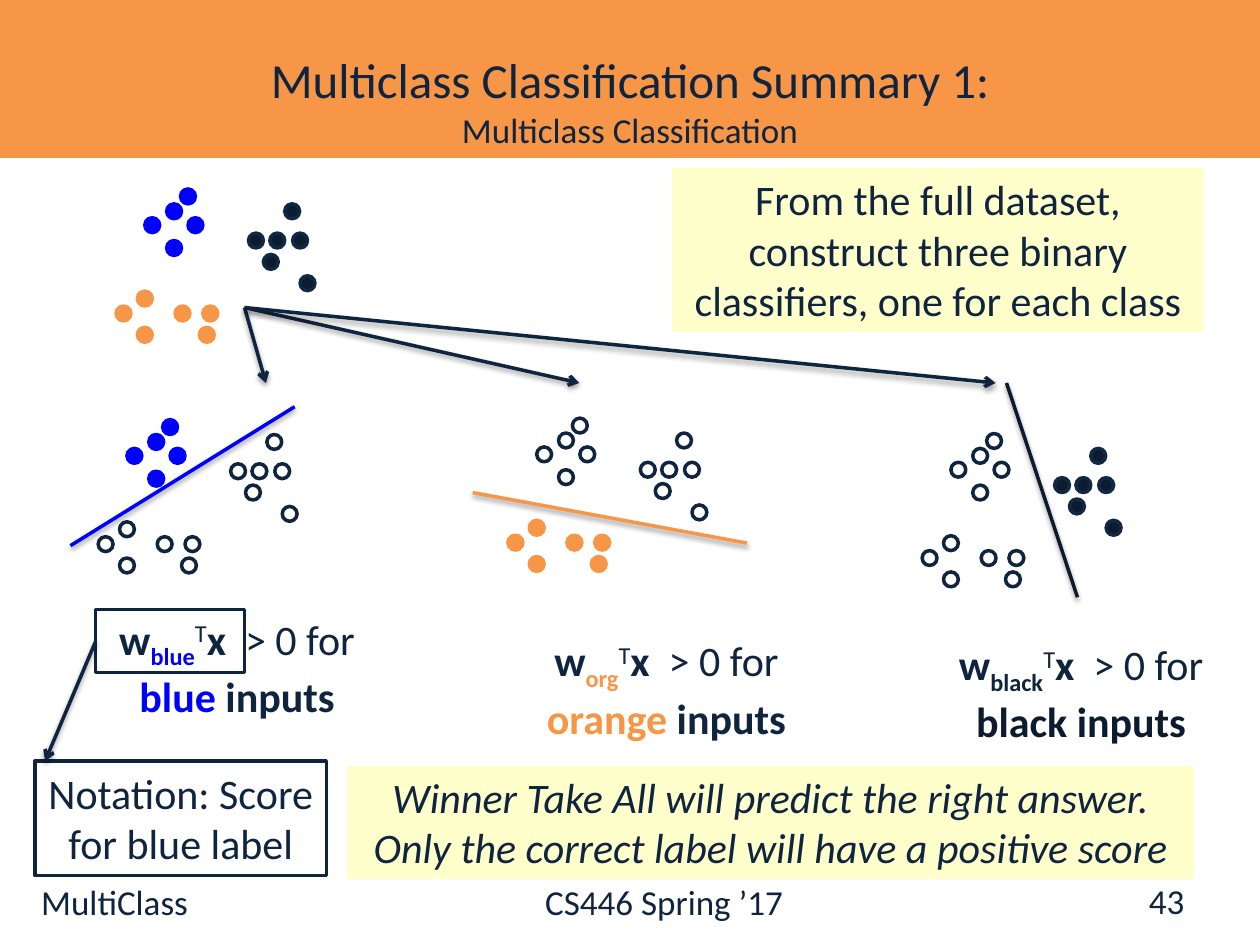
from copy import deepcopy
from dataclasses import dataclass
from typing import NamedTuple

from lxml.etree import SubElement
from pptx import Presentation
from pptx.dml.color import RGBColor
from pptx.enum.shapes import MSO_CONNECTOR, MSO_SHAPE
from pptx.enum.text import MSO_ANCHOR, MSO_AUTO_SIZE, PP_ALIGN
from pptx.oxml.ns import qn
from pptx.util import Cm, Pt

NAVY = RGBColor(0x0F, 0x24, 0x3E)
BLACK = RGBColor(0x0C, 0x1B, 0x2E)
BLACK_EDGE = RGBColor(0x11, 0x28, 0x45)
BLUE = RGBColor(0x00, 0x00, 0xFF)
ORANGE = RGBColor(0xF7, 0x96, 0x46)
YELLOW = RGBColor(0xFF, 0xFF, 0xCC)
WHITE = RGBColor(0xFF, 0xFF, 0xFF)

DOT_SIZE = 0.3
ARROW_START = (4.93, 6.2)
ARROW_ENDS = [(5.36, 7.72), (11.68, 7.72), (20.07, 7.72)]

# Dot positions in cm, measured from the corner of a cloud
CLUSTERS = {
    "blue": [(1.02, 0.3), (1.3, 0), (0.58, 0.58), (1.45, 0.58), (1.02, 1.04)],
    "orange": [(1.75, 2.36), (0.43, 2.06), (1.19, 2.36), (0, 2.36),
               (1.68, 2.79), (0.43, 2.79)],
    "black": [(2.97, 1.32), (3.71, 1.75), (3.4, 0.3), (2.67, 0.89),
              (3.56, 0.89), (3.1, 0.89)],
}


class Area(NamedTuple):
    left: float
    top: float
    width: float
    height: float


class DotStyle(NamedTuple):
    fill: RGBColor
    edge: RGBColor


DOT_STYLES = {
    "blue": DotStyle(BLUE, BLUE),
    "orange": DotStyle(ORANGE, ORANGE),
    "black": DotStyle(BLACK, BLACK_EDGE),
}
OTHER_CLASS = DotStyle(WHITE, NAVY)


@dataclass
class Classifier:
    name: str
    subscript: str
    subscript_colour: RGBColor
    colour: RGBColor
    origin: tuple[float, float]
    line_start: tuple[float, float]
    line_end: tuple[float, float]
    label: Area


CLASSIFIERS = [
    Classifier("blue", "blue", BLUE, BLUE, (1.98, 8.46), (1.42, 11), (5.94, 8.2),
               Area(2.01, 12.24, 5.54, 2.31)),
    Classifier("orange", "org", ORANGE, ORANGE, (10.24, 8.43), (9.53, 9.93),
               (15.06, 10.95), Area(10.31, 12.67, 6.25, 2.31)),
    Classifier("black", "black", NAVY, BLACK, (18.59, 8.74), (20.29, 7.72),
               (21.72, 12.04), Area(18.62, 12.75, 6.35, 2.31)),
]


def add_span(para, text: str, *, size=24, colour=NAVY, bold=False, italic=False,
             baseline=0):
    span = para.add_run()
    span.text = text
    font = span.font
    font.name, font.size, font.bold, font.italic = "Calibri", Pt(size), bold, italic
    font.color.rgb = colour
    if baseline:
        span._r.rPr.set("baseline", str(baseline * 1000))
    return span


def first_para(box, align=PP_ALIGN.CENTER, anchor=MSO_ANCHOR.TOP,
               fit=MSO_AUTO_SIZE.SHAPE_TO_FIT_TEXT):
    frame = box.text_frame
    frame.word_wrap = True
    frame.auto_size = fit
    frame.vertical_anchor = anchor
    para = frame.paragraphs[0]
    para.alignment = align
    return para


def add_box(shapes, area: Area, fill, edge: RGBColor, width=2.0,
            kind=MSO_SHAPE.RECTANGLE):
    box = shapes.add_shape(kind, *map(Cm, area))
    box.shadow.inherit = False
    if fill is None:
        box.fill.background()
    else:
        box.fill.solid()
        box.fill.fore_color.rgb = fill
    box.line.color.rgb = edge
    box.line.width = Pt(width)
    return box


def add_line(shapes, start, end, colour=NAVY, arrow=False):
    line = shapes.add_connector(MSO_CONNECTOR.STRAIGHT, *map(Cm, (*start, *end)))
    line.line.color.rgb = colour
    line.line.width = Pt(2)
    properties = line.element.spPr
    if arrow:
        SubElement(properties.find(qn("a:ln")), qn("a:tailEnd"), type="arrow")
    # Soft shadow below the line
    effects = SubElement(properties, qn("a:effectLst"))
    shadow = SubElement(effects, qn("a:outerShdw"), blurRad=str(Pt(3.1)),
                        dist=str(Pt(1.6)), dir="5400000", rotWithShape="0")
    shade = SubElement(shadow, qn("a:srgbClr"), val="000000")
    SubElement(shade, qn("a:alpha"), val="38000")
    return line


def add_cloud(shapes, origin: tuple[float, float], coloured) -> None:
    for name, dots in CLUSTERS.items():
        style = DOT_STYLES[name] if name in coloured else OTHER_CLASS
        for x, y in dots:
            area = Area(origin[0] + x, origin[1] + y, DOT_SIZE, DOT_SIZE)
            add_box(shapes, area, style.fill, style.edge, kind=MSO_SHAPE.OVAL)


def add_classifier(page, item: Classifier) -> None:
    shapes = page.shapes.add_group_shape().shapes
    add_cloud(shapes, item.origin, [item.name])
    add_line(shapes, item.line_start, item.line_end, item.colour)
    para = first_para(shapes.add_textbox(*map(Cm, item.label)))
    add_span(para, "w", bold=True)
    add_span(para, item.subscript, colour=item.subscript_colour, bold=True, baseline=-25)
    add_span(para, "T", baseline=30)
    add_span(para, "x ", bold=True)
    add_span(para, " > 0 for ")
    add_span(para, item.name, colour=item.colour, bold=True)
    add_span(para, " inputs", colour=BLACK if item.name == "black" else NAVY, bold=True)


def add_callout(page, area: Area, text: str, italic=False) -> None:
    box = add_box(page.shapes, area, YELLOW, WHITE, 0.75)
    add_span(first_para(box), text, italic=italic)


def add_header(page) -> None:
    title = page.shapes.title
    band = add_box(page.shapes, Area(0, 0, 25.4, 3.17), ORANGE, ORANGE, 0.75)
    title.element.addprevious(band.element)
    title.left, title.top, title.width, title.height = map(Cm, (1.27, 0.43, 22.86, 3.17))
    para = first_para(title, anchor=MSO_ANCHOR.MIDDLE, fit=MSO_AUTO_SIZE.NONE)
    heading = add_span(para, "Multiclass Classification Summary 1:", size=28)
    para.add_line_break()
    para._p.find(qn("a:br")).append(deepcopy(heading._r.rPr))
    add_span(para, "Multiclass Classification", size=20)


def add_footer(page) -> None:
    box = page.shapes.add_textbox(*map(Cm, (0.58, 17.63, 24.38, 1.42)))
    para = first_para(box, PP_ALIGN.LEFT, fit=MSO_AUTO_SIZE.NONE)
    tabs = SubElement(para._p.get_or_add_pPr(), qn("a:tabLst"))
    SubElement(tabs, qn("a:tab"), pos=str(Cm(10.16)), algn="l")
    add_span(para, "MultiClass\tCS446 Spring ’17", size=20)
    number = page.shapes.add_textbox(*map(Cm, (18.21, 17.65, 5.92, 1.02)))
    para = first_para(number, PP_ALIGN.RIGHT, MSO_ANCHOR.MIDDLE, MSO_AUTO_SIZE.NONE)
    add_span(para, "43", size=20)


def add_notation(page) -> None:
    shapes = page.shapes.add_group_shape().shapes
    note = add_box(shapes, Area(0.71, 15.34, 5.87, 2.31), WHITE, NAVY)
    add_span(first_para(note), "Notation: Score for blue label")
    score = add_box(shapes, Area(1.93, 12.29, 3, 1.27), None, NAVY)
    pointer = add_line(shapes, (1.93, 12.93), (0.91, 15.34), arrow=True)
    pointer.begin_connect(score, 1)


def main() -> None:
    deck = Presentation()
    deck.slide_width, deck.slide_height = Cm(25.4), Cm(19.05)
    page = deck.slides.add_slide(deck.slide_layouts[5])
    add_header(page)
    add_footer(page)

    # Full dataset and the three binary classifiers
    add_cloud(page.shapes.add_group_shape().shapes, (2.34, 3.81), CLUSTERS)
    add_callout(page, Area(13.54, 3.38, 10.74, 3.33),
                "From the full dataset, construct three binary classifiers, "
                "one for each class")
    for item in CLASSIFIERS:
        add_classifier(page, item)

    # Conclusion, notation and arrows
    add_callout(page, Area(6.99, 15.42, 17.09, 2.31),
                "Winner Take All will predict the right answer. "
                "Only the correct label will have a positive score", italic=True)
    add_notation(page)
    for end in ARROW_ENDS:
        add_line(page.shapes, ARROW_START, end, arrow=True)
    deck.save("out.pptx")


if __name__ == "__main__":
    main()
